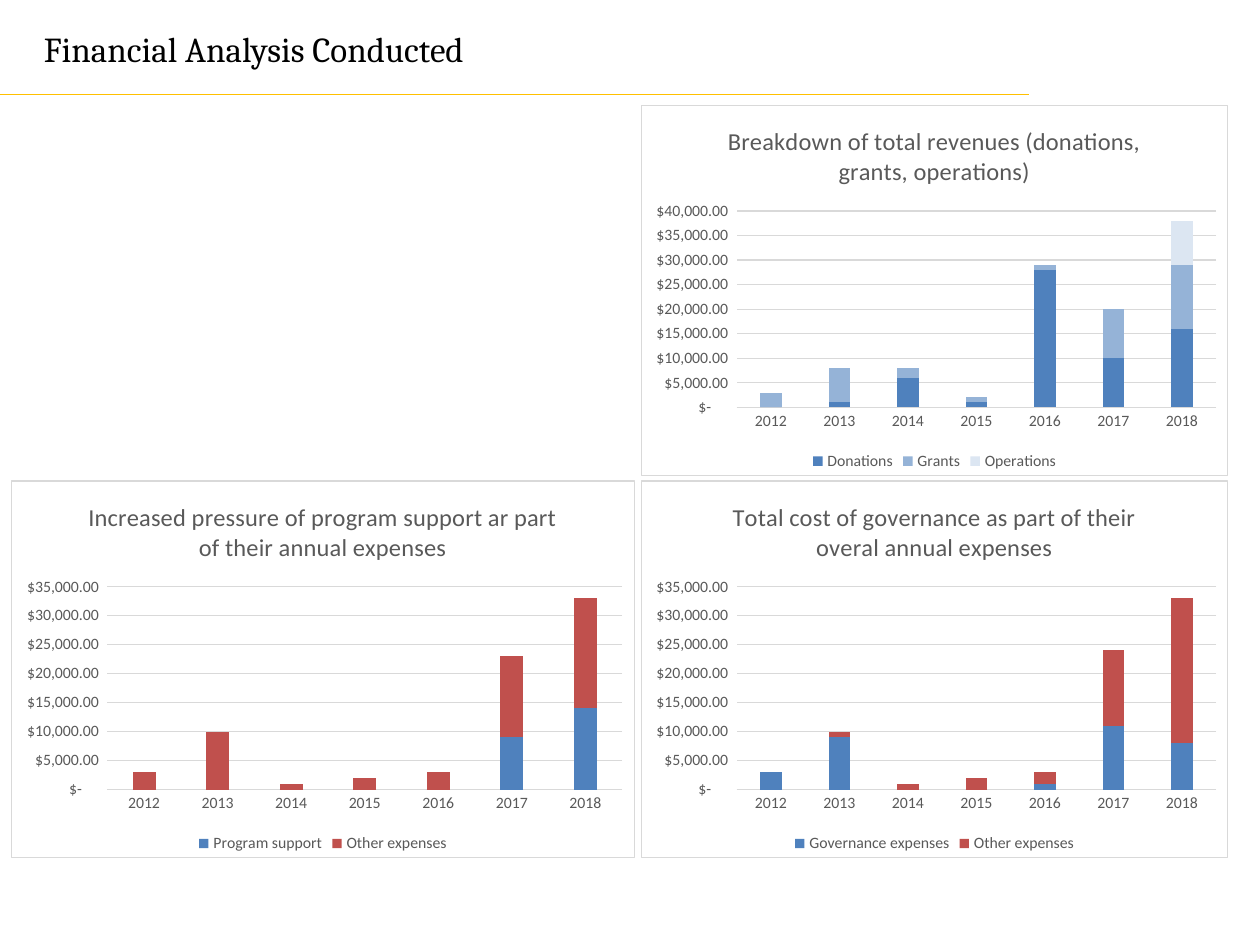
from lxml.etree import SubElement
from pptx import Presentation
from pptx.chart.data import CategoryChartData
from pptx.dml.color import RGBColor
from pptx.enum.chart import XL_CHART_TYPE, XL_LEGEND_POSITION, XL_TICK_MARK
from pptx.enum.shapes import MSO_CONNECTOR
from pptx.enum.text import MSO_AUTO_SIZE
from pptx.oxml import parse_xml
from pptx.oxml.ns import nsdecls, qn
from pptx.util import Pt

# Content
TITLE = "Financial Analysis Conducted"
YEARS = ["2012", "2013", "2014", "2015", "2016", "2017", "2018"]
DOLLARS = r'_("$"* #,##0.00_);_("$"* \(#,##0.00\);_("$"* "-"??_);_(@_)'
GREY, RULE_GREY = "595959", "D9D9D9"

# Columns are (left, width) and rows are (top, height), in points
LEFT, RIGHT = (6, 357), (366, 336)
TOP, BOTTOM = (60, 212), (274.5, 216)

# Title, column, row, axis maximum, series as (name, colour, values)
CHARTS = [
    ("Total cost of governance as part of their overal annual expenses", RIGHT, BOTTOM, 35000, [
        ("Governance expenses", "4F81BD", [3000, 9000, 0, 0, 1000, 11000, 8000]),
        ("Other expenses", "C0504D", [0, 1000, 1000, 2000, 2000, 13000, 25000]),
    ]),
    ("Increased pressure of program support ar part of their annual expenses", LEFT, BOTTOM, 35000, [
        ("Program support", "4F81BD", [0, 0, 0, 0, 0, 9000, 14000]),
        ("Other expenses", "C0504D", [3000, 10000, 1000, 2000, 3000, 14000, 19000]),
    ]),
    ("Breakdown of total revenues (donations, grants, operations)", RIGHT, TOP, 40000, [
        ("Donations", "4F81BD", [0, 1000, 6000, 1000, 28000, 10000, 16000]),
        ("Grants", "95B3D7", [3000, 7000, 2000, 1000, 1000, 10000, 13000]),
        ("Operations", "DCE6F2", [0, 0, 0, 0, 0, 0, 9000]),
    ]),
]


def color(value):
    return RGBColor.from_string(value)


def style_font(font, size, value, name="Calibri"):
    font.name, font.size, font.bold = name, Pt(size), False
    font.color.rgb = color(value)


def style_line(line, value):
    line.color.rgb = color(value)
    line.width = Pt(0.75)


def frame_chart(chart):
    """Give the chart area a white fill and a thin grey border."""
    properties = parse_xml(
        f'<c:spPr {nsdecls("c", "a")}>'
        '<a:solidFill><a:srgbClr val="FFFFFF"/></a:solidFill>'
        f'<a:ln w="{Pt(0.75)}"><a:solidFill><a:srgbClr val="{RULE_GREY}"/></a:solidFill></a:ln>'
        '</c:spPr>')
    chart.element.find(qn("c:chart")).addnext(properties)


def add_stacked_chart(page, title, column, row, maximum, series_list):
    data = CategoryChartData(number_format=DOLLARS)
    data.categories = YEARS
    for name, _, values in series_list:
        data.add_series(name, values)
    (left, width), (top, height) = column, row
    chart = page.shapes.add_chart(
        XL_CHART_TYPE.COLUMN_STACKED, Pt(left), Pt(top), Pt(width), Pt(height), data).chart
    style_font(chart.font, 10, "000000")
    frame_chart(chart)

    # Title and legend
    chart.has_title = True
    chart.chart_title.include_in_layout = False
    para = chart.chart_title.text_frame.paragraphs[0]
    para.text = title
    style_font(para.runs[0].font, 14, GREY)
    chart.has_legend = True
    chart.legend.position = XL_LEGEND_POSITION.BOTTOM
    chart.legend.include_in_layout = False
    style_font(chart.legend.font, 9, GREY)

    # Axes
    for axis in (chart.category_axis, chart.value_axis):
        axis.major_tick_mark = axis.minor_tick_mark = XL_TICK_MARK.NONE
        style_font(axis.tick_labels.font, 9, GREY)
    style_line(chart.category_axis.format.line, RULE_GREY)
    value_axis = chart.value_axis
    value_axis.format.line.fill.background()
    style_line(value_axis.major_gridlines.format.line, RULE_GREY)
    value_axis.minimum_scale, value_axis.maximum_scale = 0, maximum
    value_axis.major_unit = 5000
    value_axis.tick_labels.number_format = DOLLARS
    value_axis.tick_labels.number_format_is_linked = False

    # Columns
    plot = chart.plots[0]
    plot.gap_width, plot.overlap, plot.vary_by_categories = 219, 100, False
    for series, (_, value, _) in zip(plot.series, series_list):
        series.format.fill.solid()
        series.format.fill.fore_color.rgb = color(value)


deck = Presentation()
deck.slide_width, deck.slide_height = Pt(720), Pt(540)
page = deck.slides.add_slide(deck.slide_layouts[6])

# Heading and the rule below it
box = page.shapes.add_textbox(Pt(18), Pt(12), Pt(265.5), Pt(31.5))
frame = box.text_frame
frame.text = TITLE
frame.word_wrap = False
frame.auto_size = MSO_AUTO_SIZE.SHAPE_TO_FIT_TEXT
style_font(frame.paragraphs[0].runs[0].font, 20, "000000", "Cambria")

rule = page.shapes.add_connector(MSO_CONNECTOR.STRAIGHT, Pt(0), Pt(54), Pt(588), Pt(54))
style_line(rule.line, "FFC000")
SubElement(rule._element.spPr, qn("a:effectLst"))

for chart_content in CHARTS:
    add_stacked_chart(page, *chart_content)

deck.save("out.pptx")
